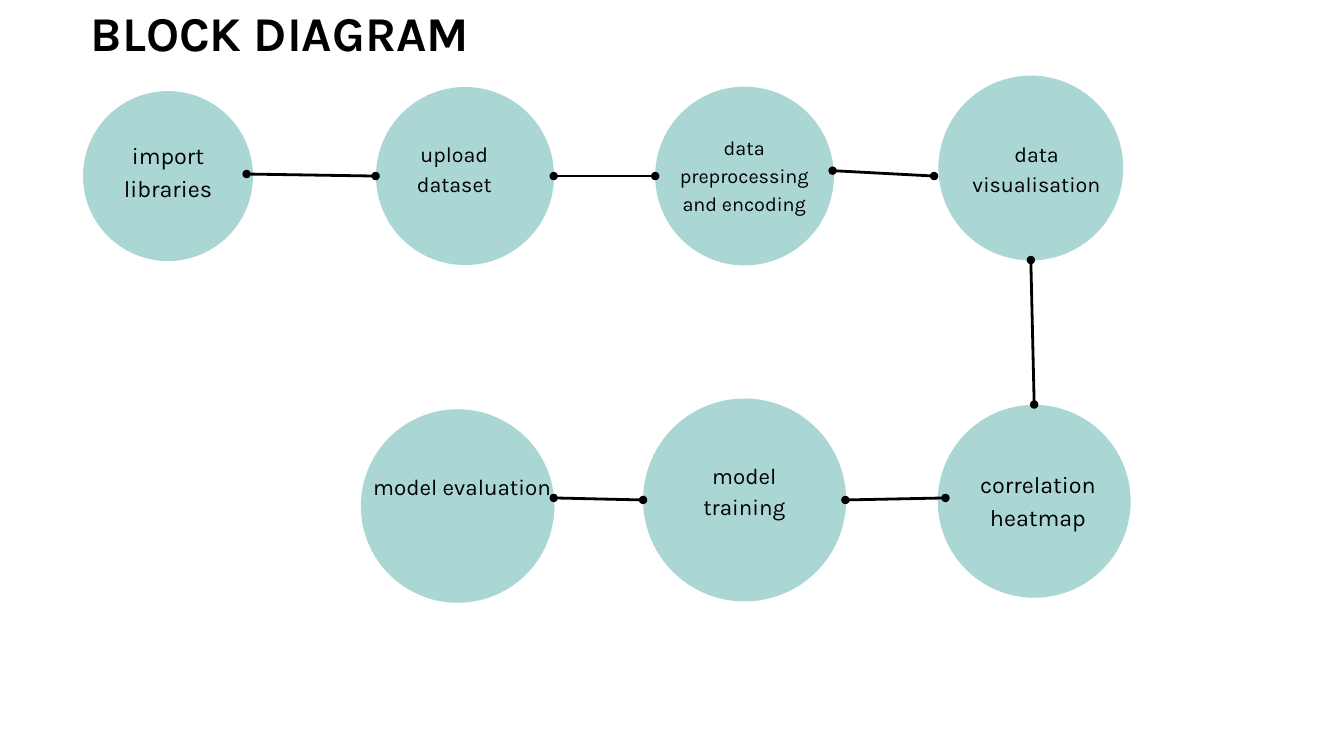
"""Builds the block diagram slide of a machine learning workflow."""
from lxml.etree import SubElement
from pptx import Presentation
from pptx.dml.color import RGBColor
from pptx.enum.shapes import MSO_CONNECTOR, MSO_SHAPE
from pptx.enum.text import MSO_ANCHOR, PP_ALIGN
from pptx.oxml.ns import qn
from pptx.util import Inches, Pt

THEME = {
    "font": "Karla",
    "ink": RGBColor(0x00, 0x00, 0x00),
    "circle": RGBColor(0xAA, 0xD7, 0xD4),
    "background": RGBColor(0xFF, 0xFF, 0xFF),
    "title": 52,
    "large": 25,
    "medium": 24,
    "regular": 23,
    "small": 21.3,
    "line_spacing": 1.4,
    "line_width": 3,
}

TITLE = ("BLOCK DIAGRAM", (1.12, -0.1, 6.09, 0.97))

STEPS = [
    {"label": "import libraries", "center": (2.5, 2.62), "diameter": 2.53,
     "box": (1.68, 2.03, 1.64, 0.95), "size": "large"},
    {"label": "upload dataset", "center": (6.92, 2.62), "diameter": 2.65,
     "box": (5.97, 2.04, 1.58, 0.86), "size": "regular"},
    {"label": "data preprocessing and encoding", "center": (11.08, 2.62), "diameter": 2.66,
     "box": (10, 1.96, 2.15, 1.22), "size": "small"},
    {"label": "data visualisation", "center": (15.34, 2.5), "diameter": 2.75,
     "box": (14.33, 2.04, 2.19, 0.86), "size": "regular"},
    {"label": "correlation heatmap", "center": (15.39, 7.46), "diameter": 2.87,
     "box": (14.07, 6.93, 2.75, 0.95), "size": "large"},
    {"label": "model training", "center": (11.08, 7.44), "diameter": 3.02,
     "box": (10.02, 6.81, 2.11, 0.89), "size": "medium"},
    {"label": "model evaluation", "center": (6.81, 7.53), "diameter": 2.88,
     "box": (5.5, 6.97, 2.75, 0.89), "size": "medium"},
]

LINKS = [
    ((3.67, 2.59), (5.59, 2.62)),
    ((8.24, 2.62), (9.75, 2.62)),
    ((12.39, 2.54), (13.9, 2.62)),
    ((15.34, 3.87), (15.39, 6.02)),
    ((12.58, 7.44), (14.07, 7.41)),
    ((8.24, 7.41), (9.57, 7.44)),
]


def write_text(shape, text, *, size, bold=False):
    frame = shape.text_frame
    frame.word_wrap = True
    frame.vertical_anchor = MSO_ANCHOR.TOP
    frame.margin_left = frame.margin_right = frame.margin_top = frame.margin_bottom = 0
    paragraph = frame.paragraphs[0]
    paragraph.alignment = PP_ALIGN.CENTER
    paragraph.line_spacing = Pt(size * THEME["line_spacing"])
    run = paragraph.add_run()
    run.text = text
    run.font.name = THEME["font"]
    run.font.size = Pt(size)
    run.font.bold = bold
    run.font.color.rgb = THEME["ink"]


def add_title(slide):
    text, box = TITLE
    title = slide.shapes.title
    title.left, title.top, title.width, title.height = map(Inches, box)
    write_text(title, text, size=THEME["title"], bold=True)


def add_circle(slide, center, diameter):
    left, top = (middle - diameter / 2 for middle in center)
    circle = slide.shapes.add_shape(
        MSO_SHAPE.OVAL, *map(Inches, (left, top, diameter, diameter)))
    circle.shadow.inherit = False
    circle.fill.solid()
    circle.fill.fore_color.rgb = THEME["circle"]
    circle.line.fill.background()


def add_link(slide, start, end):
    connector = slide.shapes.add_connector(
        MSO_CONNECTOR.STRAIGHT, *map(Inches, (*start, *end)))
    connector.line.color.rgb = THEME["ink"]
    connector.line.width = Pt(THEME["line_width"])
    line = connector.line._get_or_add_ln()
    for tag in ("a:headEnd", "a:tailEnd"):
        SubElement(line, qn(tag), type="oval", w="med", len="med")
    SubElement(connector._element.spPr, qn("a:effectLst"))


def main():
    presentation = Presentation()
    presentation.slide_width = Inches(20)
    presentation.slide_height = Inches(11.25)
    slide = presentation.slides.add_slide(presentation.slide_layouts[5])
    slide.background.fill.solid()
    slide.background.fill.fore_color.rgb = THEME["background"]

    add_title(slide)
    for step in STEPS:
        add_circle(slide, step["center"], step["diameter"])
        label = slide.shapes.add_textbox(*map(Inches, step["box"]))
        write_text(label, step["label"], size=THEME[step["size"]])
    for start, end in LINKS:
        add_link(slide, start, end)

    presentation.save("out.pptx")


if __name__ == "__main__":
    main()
